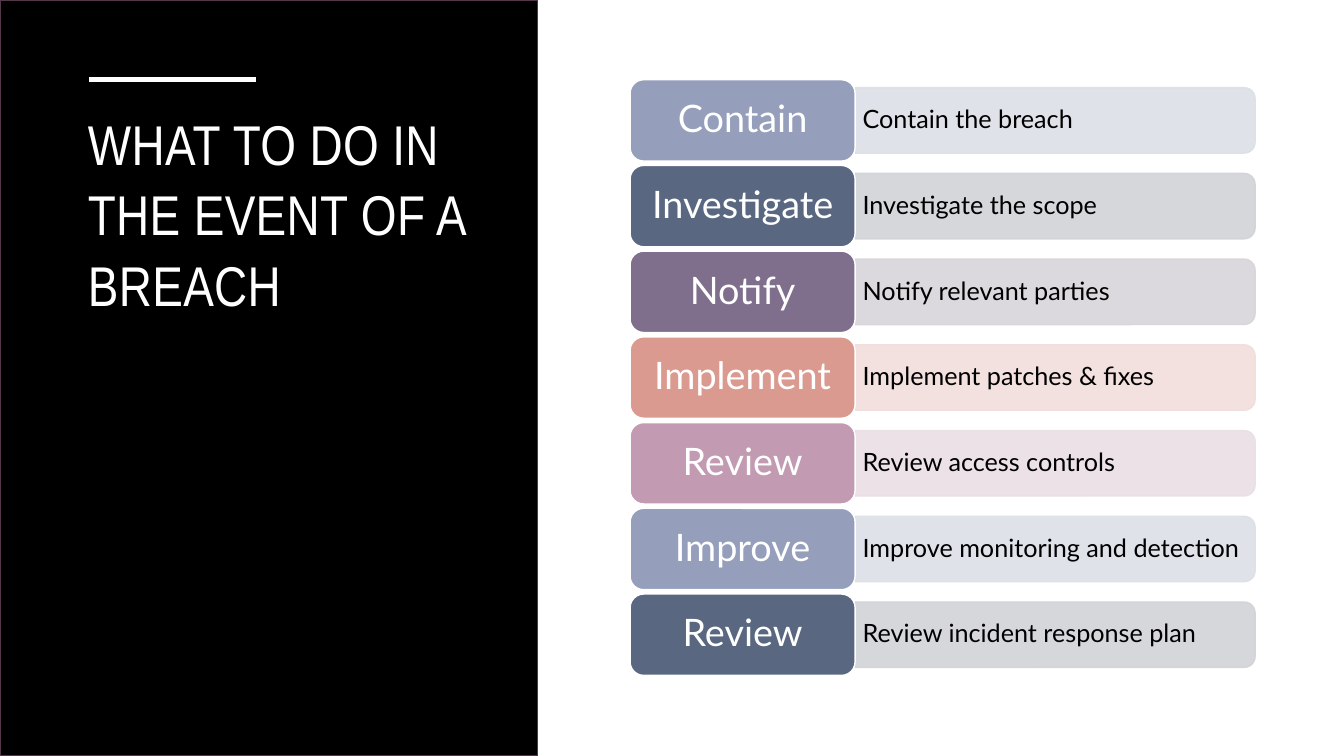
from dataclasses import dataclass

from lxml.etree import SubElement
from pptx import Presentation
from pptx.dml.color import RGBColor
from pptx.enum.shapes import MSO_CONNECTOR as Connector, MSO_SHAPE as Preset
from pptx.enum.text import MSO_ANCHOR as Anchor, MSO_AUTO_SIZE as AutoSize, PP_ALIGN as Align
from pptx.oxml.ns import qn
from pptx.shapes.autoshape import Shape
from pptx.slide import Slide
from pptx.text.text import TextFrame
from pptx.util import Cm, Pt

SLIDE_W, SLIDE_H = 33.87, 19.05
PANEL_W = 13.54
TILE_LEFT, TILE_TOP, TILE_W, TILE_H = 15.88, 2.01, 5.67, 2.05
ROW_PITCH = 2.16
BAR_W, BAR_H = 10.08, 1.65
NOTE_W, NOTE_H = 10.01, 1.47


@dataclass(frozen=True)
class Scheme:
    tile: str
    bar: str


@dataclass(frozen=True)
class Step:
    label: str
    note: str


SCHEMES = [
    Scheme("959EBB", "DDDFE7"),
    Scheme("596781", "D1D3D8"),
    Scheme("7F6E8C", "D8D5DA"),
    Scheme("DB9A8F", "F1DEDB"),
    Scheme("C29AB1", "E9DEE4"),
]
STEPS = [
    Step("Contain", "Contain the breach"),
    Step("Investigate", "Investigate the scope"),
    Step("Notify", "Notify relevant parties"),
    Step("Implement", "Implement patches & fixes"),
    Step("Review", "Review access controls"),
    Step("Improve", "Improve monitoring and detection"),
    Step("Review", "Review incident response plan"),
]


def paint(target, colour: str) -> None:
    """Give a fill or a line's fill one solid colour."""
    target.solid()
    target.fore_color.rgb = RGBColor.from_string(colour)


def make_translucent(shape: Shape, percent: int) -> None:
    for colour in shape._element.spPr.iter(qn("a:srgbClr")):
        SubElement(colour, qn("a:alpha")).set("val", str(percent * 1000))


def add_block(page: Slide, preset: Preset, left: float, top: float, width: float,
              height: float, fill: str, line: str) -> Shape:
    block = page.shapes.add_shape(preset, Cm(left), Cm(top), Cm(width), Cm(height))
    block.shadow.inherit = False
    paint(block.fill, fill)
    paint(block.line.fill, line)
    block.line.width = Pt(1)
    return block


def write(frame: TextFrame, text: str, font: str, size: float, colour: str,
          align: Align, anchor: Anchor, spacing: float):
    """Write one paragraph of one run and return the run."""
    frame.word_wrap = True
    frame.auto_size = AutoSize.NONE
    frame.vertical_anchor = anchor
    para = frame.paragraphs[0]
    para.alignment = align
    para.line_spacing = spacing
    span = para.add_run()
    span.text = text
    span.font.name = font
    span.font.size = Pt(size)
    paint(span.font.fill, colour)
    return span


def set_insets(frame: TextFrame, across: float, down: float) -> None:
    frame.margin_left = frame.margin_right = Cm(across)
    frame.margin_top = frame.margin_bottom = Cm(down)


def add_heading(page: Slide) -> None:
    title = page.shapes.title
    title.left, title.top, title.width, title.height = Cm(1.96), Cm(2.54), Cm(10.34), Cm(10.18)
    span = write(title.text_frame, "WHAT TO DO IN THE EVENT OF A BREACH", "Arial Narrow",
                 40, "FFFFFF", Align.LEFT, Anchor.TOP, 1.05)
    span.font._element.set("spc", "30")

    panel = add_block(page, Preset.RECTANGLE, 0, 0, PANEL_W, SLIDE_H, "000000", "55374C")
    title._element.addprevious(panel._element)

    rule = page.shapes.add_connector(Connector.STRAIGHT, Cm(2.24), Cm(2.01), Cm(6.45), Cm(2.01))
    paint(rule.line.fill, "FFFFFF")
    rule.line.width = Pt(3.5)
    SubElement(rule._element.spPr, qn("a:effectLst"))


def add_step(page: Slide, step: Step, scheme: Scheme, top: float) -> None:
    middle = top + TILE_H / 2
    bar_left = TILE_LEFT + TILE_W

    # The bar stands upright and is turned about its centre, so its sides swap.
    bar = add_block(page, Preset.ROUND_2_SAME_RECTANGLE, bar_left + (BAR_W - BAR_H) / 2,
                    middle - BAR_W / 2, BAR_H, BAR_W, scheme.bar, scheme.bar)
    bar.rotation = 90
    make_translucent(bar, 90)

    note = page.shapes.add_textbox(Cm(bar_left), Cm(middle - NOTE_H / 2), Cm(NOTE_W), Cm(NOTE_H))
    set_insets(note.text_frame, 0.19, 0.1)
    write(note.text_frame, step.note, "Lato", 18, "000000", Align.LEFT, Anchor.MIDDLE, 0.9)

    tile = add_block(page, Preset.ROUNDED_RECTANGLE, TILE_LEFT, top, TILE_W, TILE_H,
                     scheme.tile, "FFFFFF")
    set_insets(tile.text_frame, 0.3, 0.15)
    write(tile.text_frame, step.label, "Lato", 27, "FFFFFF", Align.CENTER, Anchor.MIDDLE, 0.9)


def main() -> None:
    deck = Presentation()
    deck.slide_width, deck.slide_height = Cm(SLIDE_W), Cm(SLIDE_H)
    page = deck.slides.add_slide(deck.slide_layouts.get_by_name("Title Only"))
    paint(page.background.fill, "FFFFFF")
    add_heading(page)
    for row, step in enumerate(STEPS):
        add_step(page, step, SCHEMES[row % len(SCHEMES)], TILE_TOP + row * ROW_PITCH)
    deck.save("out.pptx")


if __name__ == "__main__":
    main()
